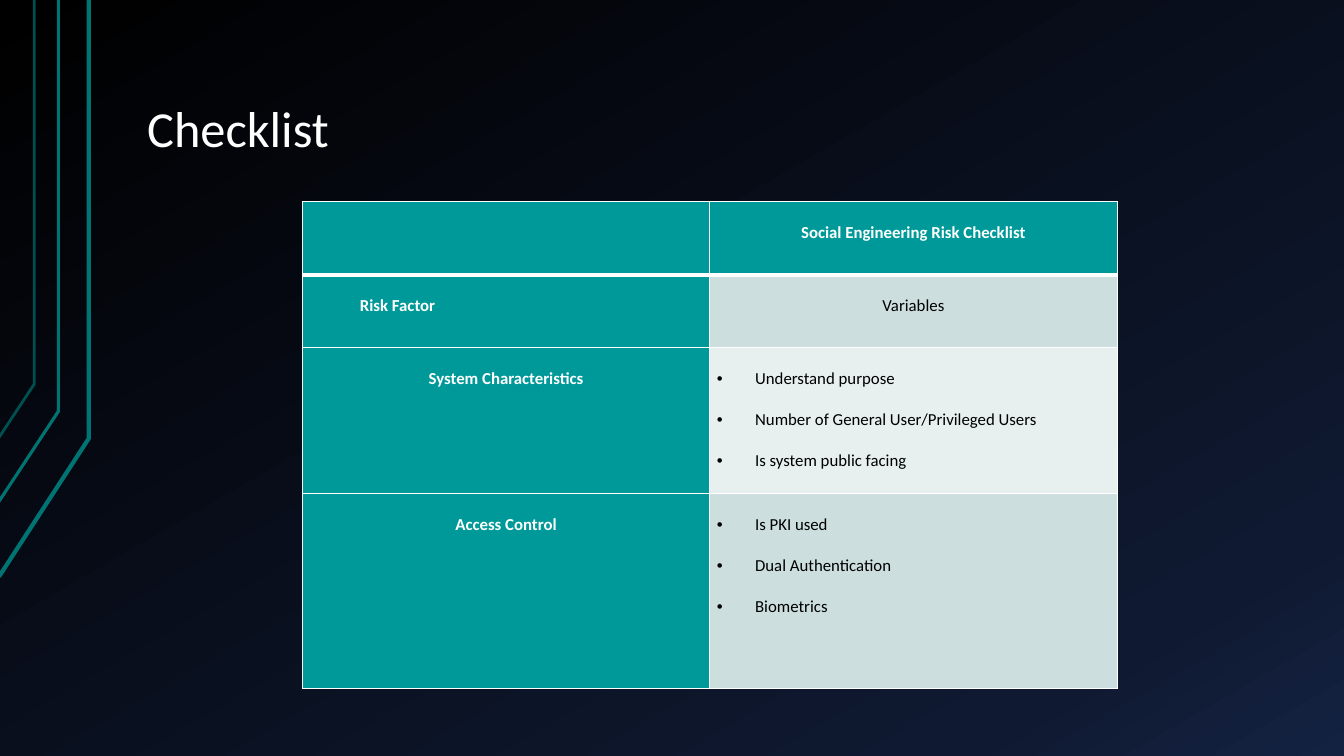
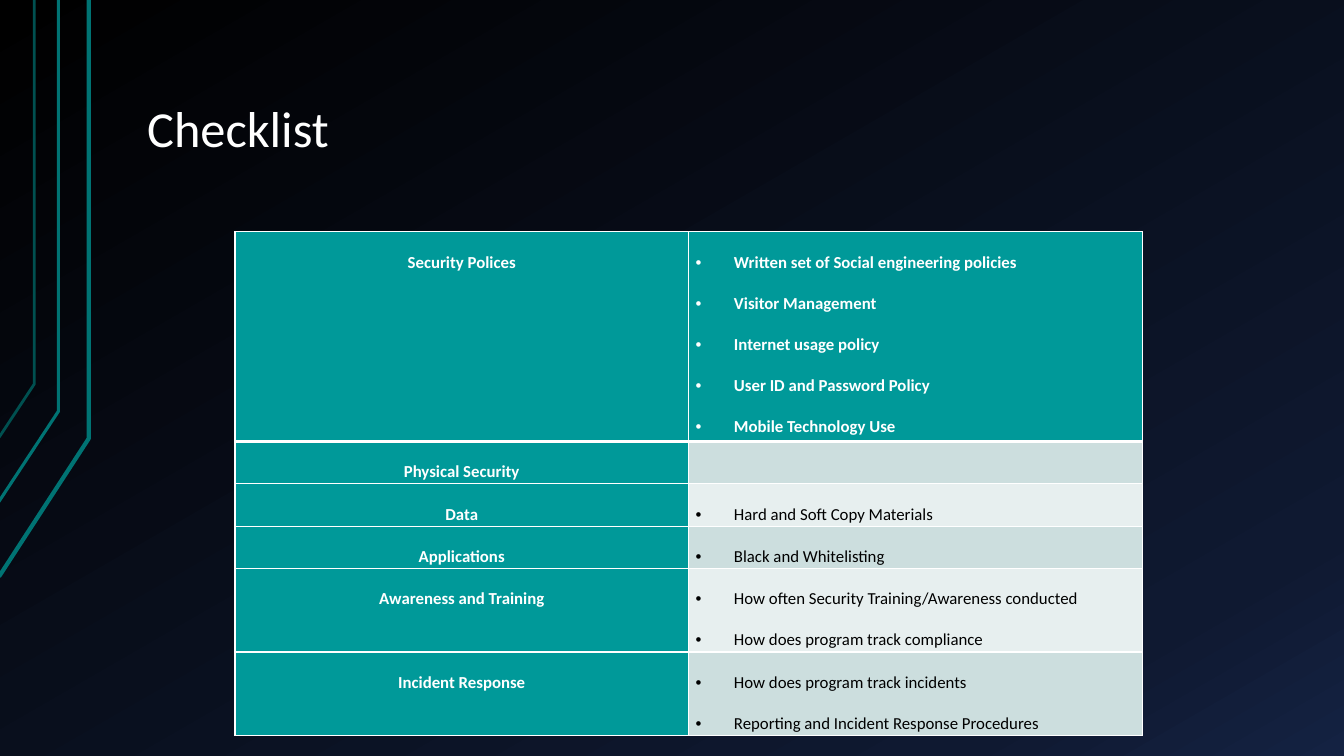
from lxml.etree import Element, SubElement
from pptx import Presentation
from pptx.dml.color import RGBColor
from pptx.enum.text import MSO_ANCHOR, PP_ALIGN
from pptx.oxml.ns import qn
from pptx.util import Inches, Pt

FONT = "Calibri"
COLORS = {
    "white": "FFFFFF",
    "black": "000000",
    "teal": "009999",
    "band_dark": "CCDEDE",
    "band_light": "E7EFEF",
    "stripe": "007373",
    "stripe_dim": "005050",
    "night": "0F1931",
    "navy": "142242",
}
BACKDROP_STOPS = [(0, "black"), (85, "night"), (100, "navy")]
BACKDROP_ANGLE = 60
STRIPES = [
    ([(-0.01, 5.72), (0.88, 4.35), (0.88, 0)], 3, "stripe"),
    ([(-0.02, 4.99), (0.58, 4.08), (0.58, 0)], 2.25, "stripe"),
    ([(-0.01, 4.34), (0.34, 3.81), (0.34, 0)], 2, "stripe_dim"),
]
TITLE_BOX = (1.33, 0.3, 11.33, 1.34)

CHECKLISTS = [
    {
        "box": (3, 2, 8.08, 4.83),
        "heights": [0.73, 0.72, 1.45, 1.93],
        "rows": [
            ([], "center", ["Social Engineering Risk Checklist"], "center"),
            (["Risk Factor"], "indent", ["Variables"], "center"),
            (["System Characteristics"], "center",
             ["Understand purpose", "Number of General User/Privileged Users",
              "Is system public facing"], "bullet"),
            (["Access Control"], "center",
             ["Is PKI used", "Dual Authentication", "Biometrics"], "bullet"),
        ],
    },
    {
        "box": (2.33, 2.3, 9, 5),
        "heights": [2.08, 0.42, 0.42, 0.42, 0.83, 0.83],
        "rows": [
            (["Security Polices"], "center",
             ["Written set of Social engineering policies", "Visitor Management",
              "Internet usage policy", "User ID and Password Policy",
              "Mobile Technology Use"], "bullet"),
            (["Physical Security"], "center", [], "bullet"),
            (["Data"], "center", ["Hard and Soft Copy Materials"], "bullet"),
            (["Applications"], "center", ["Black and Whitelisting"], "bullet"),
            (["Awareness and Training"], "center",
             ["How often Security Training/Awareness conducted",
              "How does program track compliance"], "bullet"),
            (["Incident Response"], "center",
             ["How does program track incidents",
              "Reporting and Incident Response Procedures"], "bullet"),
        ],
    },
]


def rgb(name):
    """Return the named palette colour."""
    return RGBColor.from_string(COLORS[name])


def add_run(paragraph, text, size, color, bold=False):
    """Append one styled run."""
    run = paragraph.add_run()
    run.text = text
    run.font.name = FONT
    run.font.size = Pt(size)
    run.font.bold = bold
    run.font.color.rgb = rgb(color)


def paint_backdrop(master):
    """Give the master the gradient that every slide inherits."""
    fill = master.background.fill
    fill.gradient()
    fill.gradient_angle = 360 - BACKDROP_ANGLE
    stops = next(master.element.iter(qn("a:gsLst")))
    for stop in list(stops):
        stops.remove(stop)
    for percent, color in BACKDROP_STOPS:
        stop = SubElement(stops, qn("a:gs"), pos=str(percent * 1000))
        SubElement(stop, qn("a:srgbClr"), val=COLORS[color])


def add_stripes(slide):
    """Draw the bent lines along the left edge."""
    for points, width, color in STRIPES:
        start, *bends = [(Inches(x), Inches(y)) for x, y in points]
        builder = slide.shapes.build_freeform(*start)
        builder.add_line_segments(bends, close=False)
        stripe = builder.convert_to_shape()
        stripe.shadow.inherit = False
        stripe.fill.background()
        stripe.line.color.rgb = rgb(color)
        stripe.line.width = Pt(width)


def add_title(slide, text, box):
    """Place the title on the bottom of its box."""
    frame = slide.shapes.add_textbox(*map(Inches, box)).text_frame
    frame.word_wrap = True
    frame.vertical_anchor = MSO_ANCHOR.BOTTOM
    frame.margin_left = frame.margin_right = Inches(0.13)
    frame.margin_top = frame.margin_bottom = Inches(0.07)
    title = frame.paragraphs[0]
    title.line_spacing = 0.9
    add_run(title, text, 36, "white")


def set_borders(cell, top, bottom):
    """Outline a cell in white with the given top and bottom widths."""
    properties = cell._tc.get_or_add_tcPr()
    widths = {"a:lnL": 1, "a:lnR": 1, "a:lnT": top, "a:lnB": bottom}
    for position, (side, width) in enumerate(widths.items()):
        border = Element(qn(side), w=str(Pt(width)))
        solid = SubElement(border, qn("a:solidFill"))
        SubElement(solid, qn("a:srgbClr"), val=COLORS["white"])
        properties.insert(position, border)


def set_layout(paragraph, layout):
    """Centre, indent or bullet a double-spaced paragraph."""
    properties = paragraph._p.get_or_add_pPr()
    if layout == "bullet":
        properties.set("marL", str(Inches(0.38)))
        properties.set("indent", str(-Inches(0.38)))
        SubElement(properties, qn("a:buFont"), typeface="Arial")
        SubElement(properties, qn("a:buChar"), char="•")
    elif layout == "indent":
        properties.set("indent", str(Inches(0.5)))
    else:
        paragraph.alignment = PP_ALIGN.CENTER
    paragraph.line_spacing = 2.0


def fill_cell(cell, lines, layout, fill, emphasised):
    """Colour a cell and write its lines."""
    cell.fill.solid()
    cell.fill.fore_color.rgb = rgb(fill)
    cell.margin_left = cell.margin_right = Inches(0.07)
    cell.margin_top = cell.margin_bottom = 0
    frame = cell.text_frame
    for index, line in enumerate(lines):
        paragraph = frame.add_paragraph() if index else frame.paragraphs[0]
        set_layout(paragraph, layout)
        add_run(paragraph, line, 12, "white" if emphasised else "black", emphasised)


def add_checklist(slide, box, heights, rows):
    """Build the two-column table with a header row and banded answers."""
    table = slide.shapes.add_table(len(rows), 2, *map(Inches, box)).table
    table.horz_banding = False
    for column in table.columns:
        column.width = Inches(box[2] / 2)
    for index, (factor, factor_layout, variables, variables_layout) in enumerate(rows):
        table.rows[index].height = Inches(heights[index])
        header = index == 0
        band = "teal" if header else ("band_light", "band_dark")[index % 2]
        factor_cell, variables_cell = table.rows[index].cells
        fill_cell(factor_cell, factor, factor_layout, "teal", True)
        fill_cell(variables_cell, variables, variables_layout, band, header)
        for cell in (factor_cell, variables_cell):
            set_borders(cell, 3 if index == 1 else 1, 3 if header else 1)


def main():
    """Build and save the presentation."""
    deck = Presentation()
    deck.slide_width, deck.slide_height = Inches(13.33), Inches(7.5)
    paint_backdrop(deck.slide_master)
    for checklist in CHECKLISTS:
        slide = deck.slides.add_slide(deck.slide_layouts[6])
        add_stripes(slide)
        add_title(slide, "Checklist", TITLE_BOX)
        add_checklist(slide, **checklist)
    deck.save("out.pptx")


if __name__ == "__main__":
    main()
